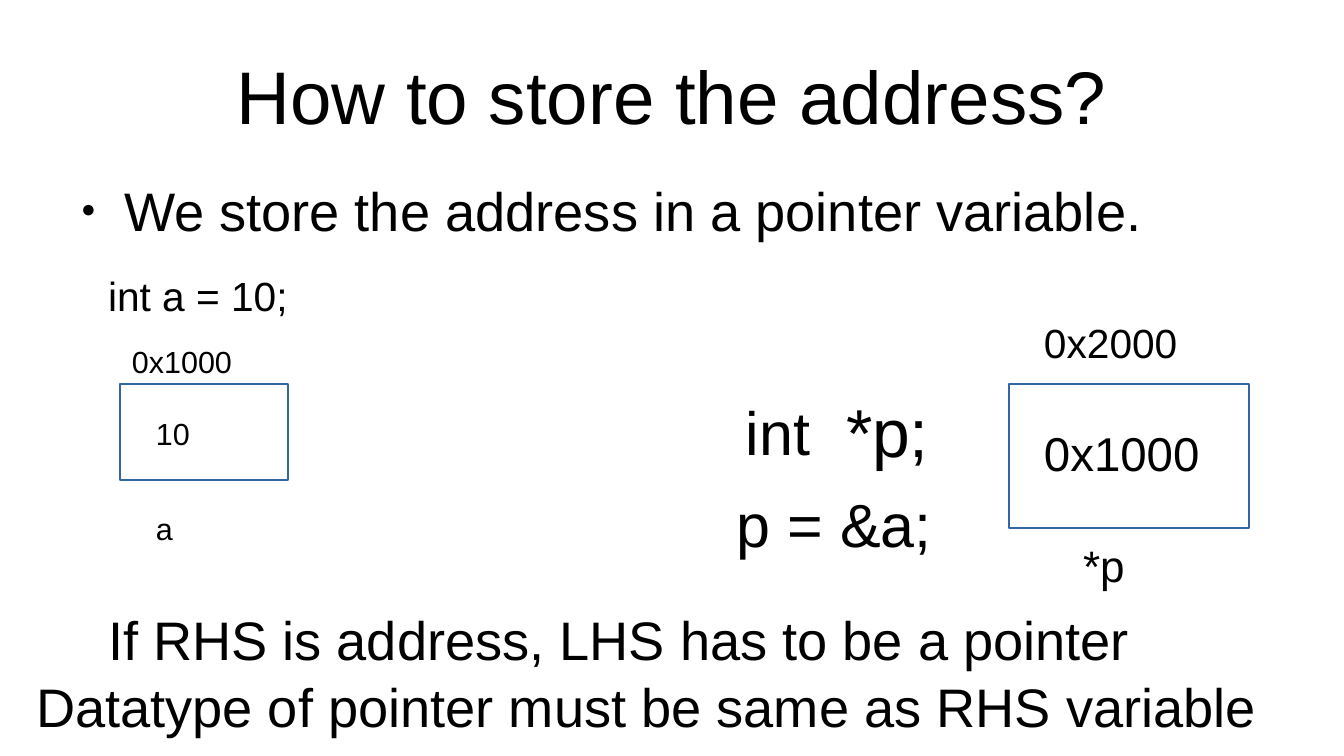
import pptx
import pptx.dml.color
import pptx.enum.shapes
import pptx.enum.text
import pptx.oxml
import pptx.oxml.ns
import pptx.util
import lxml.etree

PX_PER_INCH = 122
SLIDE_SIZE = (1344, 756)
FONT = "Arial"
COLORS = {"text": "000000", "outline": "3465A4", "background": "FFFFFF"}


def emu(px):
    """Turn pixels into EMU."""
    return pptx.util.Emu(round(px * 914400 / PX_PER_INCH))


def rgb(name):
    """Look up a named colour."""
    return pptx.dml.color.RGBColor.from_string(COLORS[name])


def set_margins(tf, side, end):
    """Set the side and the top and bottom insets of a text frame."""
    tf.margin_left = tf.margin_right = emu(side)
    tf.margin_top = tf.margin_bottom = emu(end)


def add_run(p, text, size):
    """Add one formatted run to a paragraph."""
    r = p.add_run()
    r.text = text
    r.font.name = FONT
    r.font.size = pptx.util.Pt(size)
    r.font.color.rgb = rgb("text")


def fill_placeholder(sp, box, text, size, anchor, align):
    """Place a template placeholder and write its single paragraph."""
    sp.left, sp.top, sp.width, sp.height = map(emu, box)
    tf = sp.text_frame
    tf.auto_size = pptx.enum.text.MSO_AUTO_SIZE.NONE
    tf.vertical_anchor = anchor
    set_margins(tf, 0, 0)
    p = tf.paragraphs[0]
    p.alignment = align
    p.space_before = pptx.util.Pt(0)
    add_run(p, text, size)
    return p


def set_bullet(p, char, percent, margin, indent):
    """Give a paragraph a bullet with a hanging indent."""
    pPr = p._p.get_or_add_pPr()
    pPr.set("marL", str(emu(margin)))
    pPr.set("indent", str(emu(indent)))
    qn = pptx.oxml.ns.qn
    color = lxml.etree.SubElement(pPr, qn("a:buClr"))
    lxml.etree.SubElement(color, qn("a:srgbClr"), val=COLORS["text"])
    lxml.etree.SubElement(pPr, qn("a:buSzPct"), val=str(percent * 1000))
    lxml.etree.SubElement(pPr, qn("a:buFont"), typeface=FONT)
    lxml.etree.SubElement(pPr, qn("a:buChar"), char=char)


def add_label(slide, box, text, size):
    """Add a text box with one line of text."""
    tf = slide.shapes.add_textbox(*map(emu, box)).text_frame
    tf.word_wrap = True
    set_margins(tf, 12, 6)
    add_run(tf.paragraphs[0], text, size)


def add_memory_cell(slide, box):
    """Add an outlined rectangle that stands for a memory cell."""
    rect = pptx.enum.shapes.MSO_SHAPE.RECTANGLE
    sp = slide.shapes.add_shape(rect, *map(emu, box))
    sp.shadow.inherit = False
    sp.fill.background()
    sp.line.color.rgb = rgb("outline")
    sp.line.width = pptx.util.Pt(0)


def main():
    """Build the slide and save it."""
    prs = pptx.Presentation()
    prs.slide_width, prs.slide_height = map(emu, SLIDE_SIZE)
    slide = prs.slides.add_slide(prs.slide_layouts[1])
    slide.background.fill.solid()
    slide.background.fill.fore_color.rgb = rgb("background")

    anchors = pptx.enum.text.MSO_ANCHOR
    aligns = pptx.enum.text.PP_ALIGN
    title, body = slide.placeholders
    fill_placeholder(title, (67, 31, 1210, 127), "How to store the address?",
                     44, anchors.MIDDLE, aligns.CENTER)
    p = fill_placeholder(body, (67, 177, 1210, 439),
                         "We store the address in a pointer variable.",
                         32, anchors.TOP, aligns.LEFT)
    p.space_before = pptx.util.Pt(14.2)
    set_bullet(p, "\u25cf", 45, 57, -43)

    for cell in [(120, 384, 168, 96), (1009, 384, 240, 144)]:
        add_memory_cell(slide, cell)

    labels = [
        ((96, 265, 409, 60), "int a = 10;", 24),
        ((120, 337, 168, 46), "0x1000", 18),
        ((144, 409, 120, 46), "10", 18),
        ((144, 504, 120, 46), "a", 18),
        ((734, 389, 120, 81), "int", 36),
        ((834, 384, 152, 88), "*p;", 40),
        ((725, 481, 280, 81), "p = &a;", 36),
        ((1032, 312, 216, 57), "0x2000", 24),
        ((1032, 418, 192, 65), "0x1000", 28),
        ((1071, 533, 192, 61), "*p", 26),
        ((96, 600, 1129, 73), "If RHS is address, LHS has to be a pointer", 32),
        ((24, 667, 1297, 73),
         "Datatype of pointer must be same as RHS variable", 32),
    ]
    for box, text, size in labels:
        add_label(slide, box, text, size)

    prs.save("out.pptx")


main()
